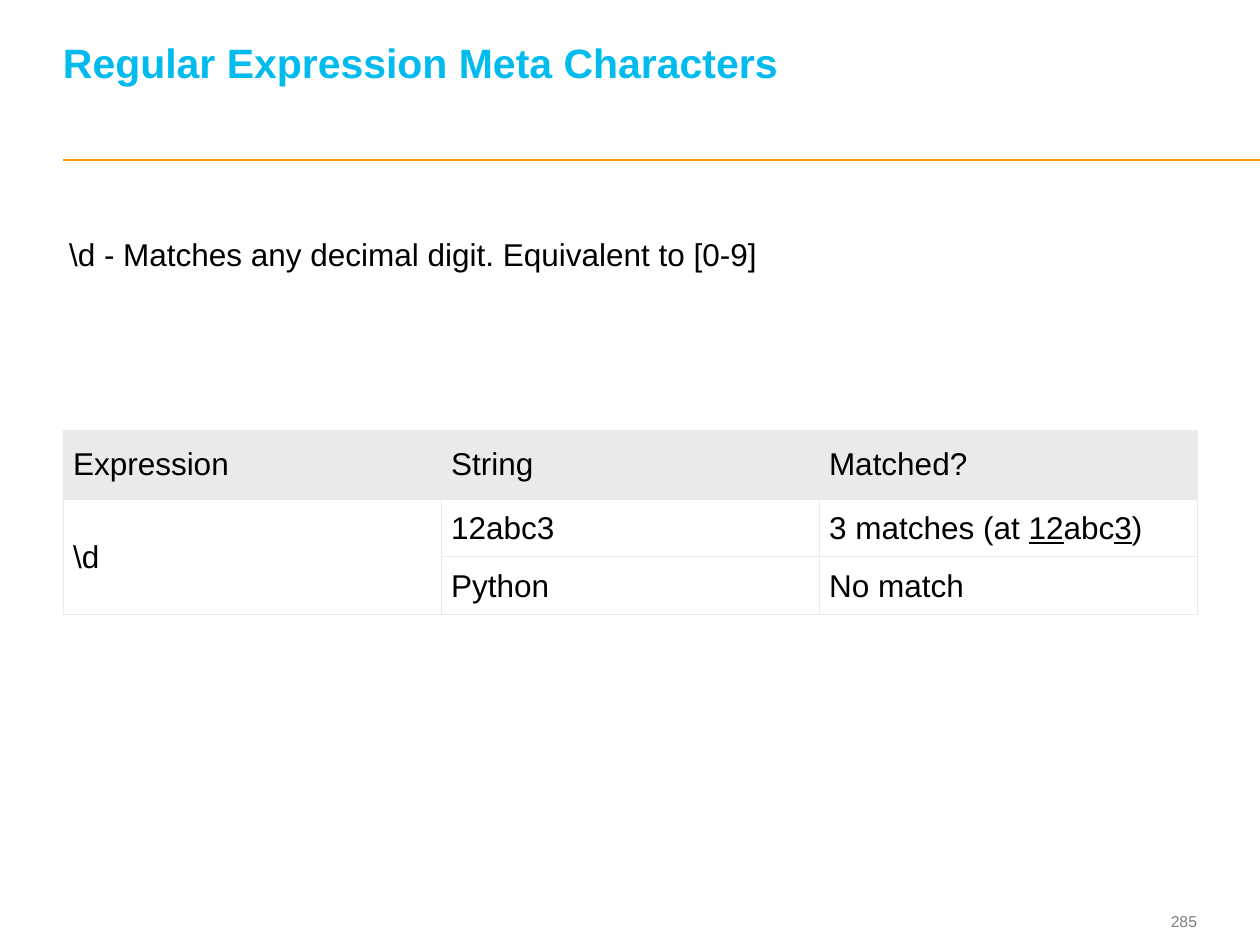
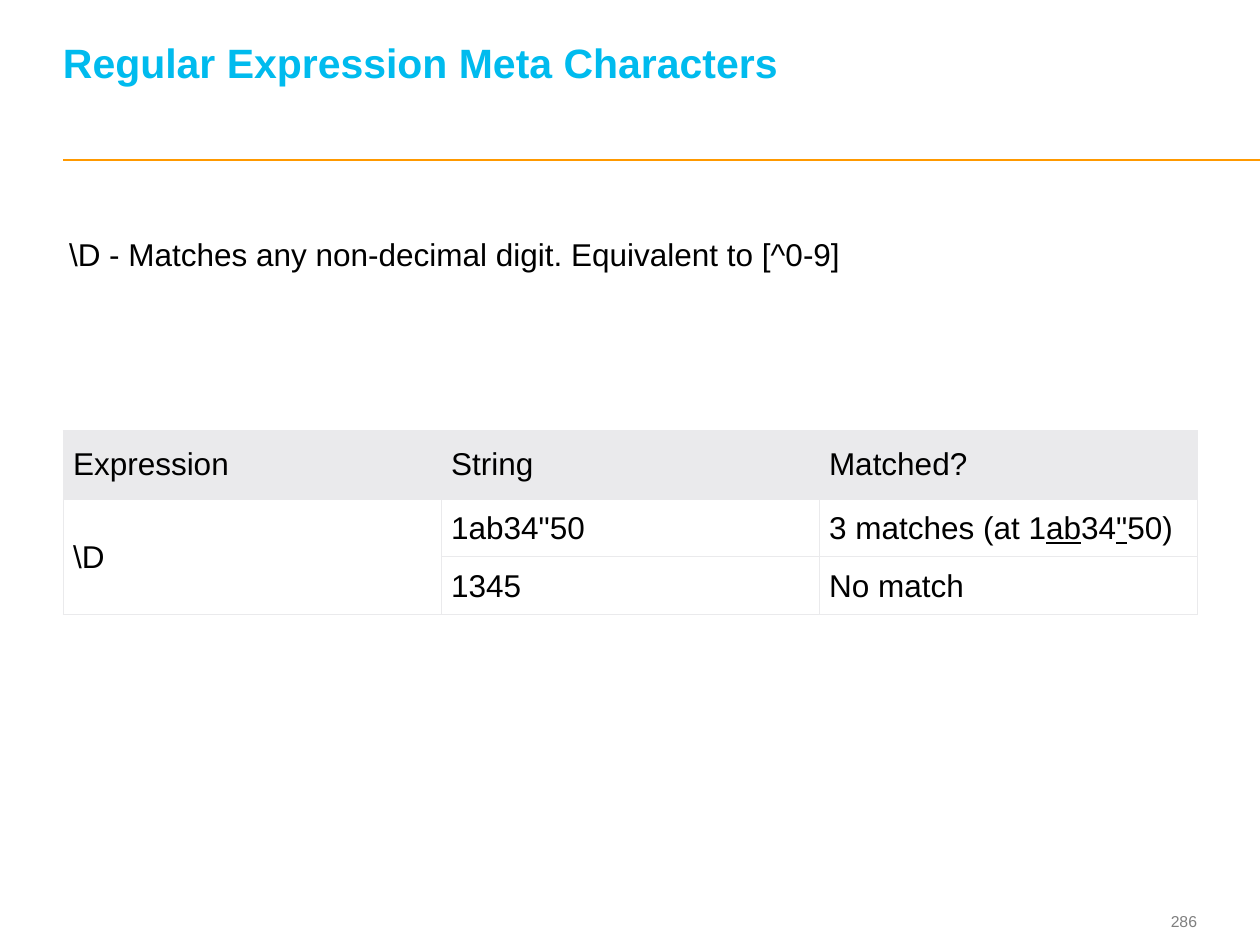
from dataclasses import dataclass

from lxml import etree
from pptx import Presentation
from pptx.dml.color import RGBColor as RGB
from pptx.enum.shapes import MSO_CONNECTOR as CONNECTOR
from pptx.enum.text import MSO_ANCHOR as ANCHOR, PP_ALIGN as ALIGN
from pptx.oxml.ns import qn
from pptx.util import Inches, Pt


@dataclass(frozen=True)
class Theme:
    font: str = "Arial"
    title: str = "00BBEE"
    rule: str = "FF9900"
    text: str = "000000"
    number: str = "7F7F7F"
    grid: str = "EAEAEC"
    paper: str = "FFFFFF"
    title_size: float = 23.4
    body_size: float = 18
    number_size: float = 9
    grid_width: float = 0.6


THEME = Theme()
TITLE = "Regular Expression Meta Characters"
HEADERS = ["Expression", "String", "Matched?"]
LEFT = 0.5
COLUMN_WIDTH = 3
ROW_HEIGHTS = [0.54, 0.46, 0.46]
NO_INSETS = (0, 0, 0, 0)
TEXT_INSETS = (0.1, 0.05, 0.1, 0.05)
HEADER_INSETS = (0.08, 0.12, 0.07, 0.12)
CELL_INSETS = (0.08, 0.08, 0.07, 0.07)

LESSONS = [
    {
        "number": 285,
        "expression": r"\d",
        "meaning": r"\d - Matches any decimal digit. Equivalent to [0-9]",
        "rows": [
            ("12abc3", ["3 matches (at ", "12", "abc", "3", ")"]),
            ("Python", ["No match"]),
        ],
    },
    {
        "number": 286,
        "expression": r"\D",
        "meaning": r"\D - Matches any non-decimal digit. Equivalent to [^0-9]",
        "rows": [
            ('1ab34"50', ["3 matches (at 1", "ab", "34", '"', "50)"]),
            ("1345", ["No match"]),
        ],
    },
]


def style_font(font, size, color, bold=False):
    font.name = THEME.font
    font.size = Pt(size)
    font.bold = bold
    font.color.rgb = RGB.from_string(color)


def set_insets(target, insets):
    left, top, right, bottom = map(Inches, insets)
    target.margin_left, target.margin_top = left, top
    target.margin_right, target.margin_bottom = right, bottom


def add_text(slide, text, box, size, color, insets=TEXT_INSETS,
             anchor=ANCHOR.TOP, align=ALIGN.LEFT, bold=False):
    tf = slide.shapes.add_textbox(*map(Inches, box)).text_frame
    tf.word_wrap = True
    tf.vertical_anchor = anchor
    set_insets(tf, insets)
    p = tf.paragraphs[0]
    p.text = text
    p.alignment = align
    style_font(p.runs[0].font, size, color, bold)
    return p


def add_rule(slide):
    y = Inches(1.27)
    line = slide.shapes.add_connector(
        CONNECTOR.STRAIGHT, Inches(LEFT), y, Inches(10), y)
    line.line.color.rgb = RGB.from_string(THEME.rule)
    line.line.width = Pt(1)
    etree.SubElement(line._element.spPr, qn("a:effectLst"))


def add_frame(slide, number):
    add_rule(slide)
    add_text(slide, str(number), (8.91, 7.18, 0.59, 0.27), THEME.number_size,
             THEME.number, NO_INSETS, ANCHOR.MIDDLE, ALIGN.RIGHT)
    p = add_text(slide, TITLE, (LEFT, 0.19, 8.97, 0.86), THEME.title_size,
                 THEME.title, (0, 0, 0, 0.36), ANCHOR.BOTTOM, bold=True)
    p.line_spacing = Pt(26)


def set_borders(cell):
    tc_pr = cell._tc.get_or_add_tcPr()
    for i, side in enumerate(("lnL", "lnR", "lnT", "lnB")):
        ln = etree.Element(qn(f"a:{side}"), w=str(Pt(THEME.grid_width)))
        fill = etree.SubElement(ln, qn("a:solidFill"))
        etree.SubElement(fill, qn("a:srgbClr"), val=THEME.grid)
        tc_pr.insert(i, ln)


def style_cell(cell, fill, insets):
    cell.fill.solid()
    cell.fill.fore_color.rgb = RGB.from_string(fill)
    cell.vertical_anchor = ANCHOR.MIDDLE
    set_insets(cell, insets)
    set_borders(cell)


def fill_cell(cell, parts):
    p = cell.text_frame.paragraphs[0]
    for i, part in enumerate(parts):
        r = p.add_run()
        r.text = part
        style_font(r.font, THEME.body_size, THEME.text)
        r.font.underline = i % 2 == 1


def add_match_table(slide, expression, rows):
    table = slide.shapes.add_table(
        len(ROW_HEIGHTS), len(HEADERS), Inches(LEFT), Inches(3.42),
        Inches(COLUMN_WIDTH * len(HEADERS)), Inches(sum(ROW_HEIGHTS))).table
    table.horz_banding = False
    for column in table.columns:
        column.width = Inches(COLUMN_WIDTH)
    for i, (row, height) in enumerate(zip(table.rows, ROW_HEIGHTS)):
        row.height = Inches(height)
        fill, insets = ((THEME.grid, HEADER_INSETS) if i == 0
                        else (THEME.paper, CELL_INSETS))
        for cell in row.cells:
            style_cell(cell, fill, insets)
    for col, header in enumerate(HEADERS):
        fill_cell(table.cell(0, col), [header])
    table.cell(1, 0).merge(table.cell(2, 0))
    fill_cell(table.cell(1, 0), [expression])
    for i, (string, result) in enumerate(rows, start=1):
        fill_cell(table.cell(i, 1), [string])
        fill_cell(table.cell(i, 2), result)


def add_lesson(prs, lesson):
    slide = prs.slides.add_slide(prs.slide_layouts[6])
    add_frame(slide, lesson["number"])
    add_text(slide, lesson["meaning"], (0.45, 1.82, 9.26, 0.4),
             THEME.body_size, THEME.text)
    add_match_table(slide, lesson["expression"], lesson["rows"])


def main():
    prs = Presentation()
    prs.slide_width, prs.slide_height = Inches(10), Inches(7.5)
    for lesson in LESSONS:
        add_lesson(prs, lesson)
    prs.save("out.pptx")


if __name__ == "__main__":
    main()
